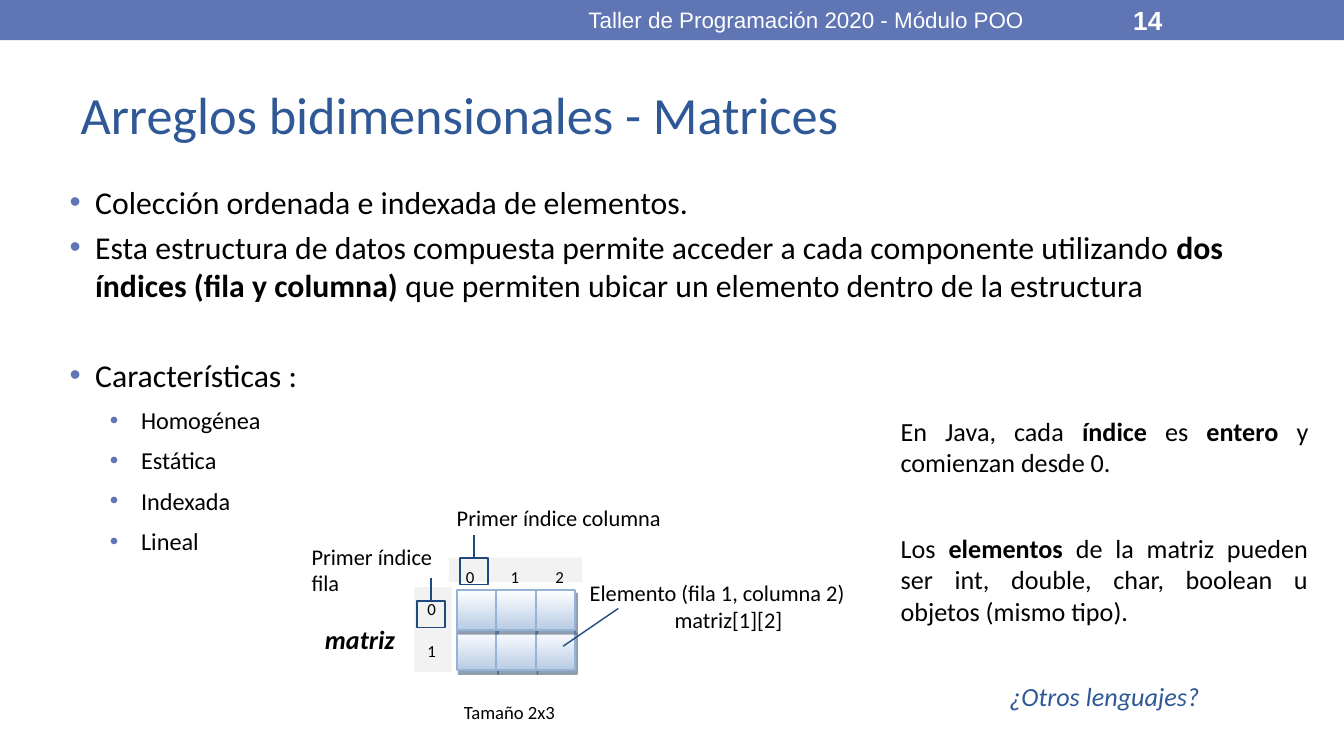
from lxml.etree import SubElement
from pptx import Presentation
from pptx.dml.color import RGBColor
from pptx.enum.shapes import MSO_CONNECTOR, MSO_SHAPE
from pptx.enum.text import MSO_ANCHOR, PP_ALIGN
from pptx.oxml.ns import qn
from pptx.util import Pt

BLACK, WHITE = "000000", "FFFFFF"
ACCENT, TITLE_BLUE, NAVY = "6076B4", "2F5897", "1F497D"
STRIP_GREY, CELL_BLUE, CELL_LINE, SHADOW = "F2F2F2", "B8CCE4", "95B3D7", "243F60"
TOP, BOTTOM_ROW = 0, 1


def color(hex_value):
    return RGBColor.from_string(hex_value)


def write(shape, text, size=12, fill=BLACK, font="Calibri", bold=False, italic=False,
          align=PP_ALIGN.LEFT, before=0, margin=0, indent=0, bullet=None):
    """Add one paragraph; parts between ** marks are bold."""
    frame = shape.text_frame
    para = frame.paragraphs[0]
    if para.runs:
        para = frame.add_paragraph()
    para.alignment = align
    para.space_before = Pt(before)
    properties = para._p.get_or_add_pPr()
    properties.set("marL", str(Pt(margin)))
    properties.set("indent", str(Pt(indent)))
    if bullet:
        bullet_color = SubElement(properties, qn("a:buClr"))
        SubElement(bullet_color, qn("a:srgbClr"), val=bullet)
        SubElement(properties, qn("a:buFont"), typeface="Arial")
        SubElement(properties, qn("a:buChar"), char="•")
    for number, part in enumerate(text.split("**")):
        if part:
            span = para.add_run()
            span.text = part
            span.font.name = font
            span.font.size = Pt(size)
            span.font.bold = bold or number % 2 == 1
            span.font.italic = italic
            span.font.color.rgb = color(fill)


def add_box(page, left, top, width, height, anchor=MSO_ANCHOR.TOP):
    box = page.shapes.add_textbox(Pt(left), Pt(top), Pt(width), Pt(height))
    box.text_frame.word_wrap = True
    box.text_frame.vertical_anchor = anchor
    return box


def add_rectangle(page, left, top, width, height, fill=None, line=None, weight=0.75):
    shape = page.shapes.add_shape(MSO_SHAPE.RECTANGLE, Pt(left), Pt(top), Pt(width), Pt(height))
    shape.shadow.inherit = False
    if fill:
        shape.fill.solid()
        shape.fill.fore_color.rgb = color(fill)
    else:
        shape.fill.background()
    if line:
        shape.line.color.rgb = color(line)
        shape.line.width = Pt(weight)
    else:
        shape.line.fill.background()
    return shape


def add_line(page, start_x, start_y, end_x, end_y):
    line = page.shapes.add_connector(
        MSO_CONNECTOR.STRAIGHT, Pt(start_x), Pt(start_y), Pt(end_x), Pt(end_y))
    line.line.color.rgb = color(NAVY)
    line.line.width = Pt(0.75)
    SubElement(line._element.spPr, qn("a:effectLst"))
    return line


def add_header(page, left, top, width, height):
    add_rectangle(page, left, top, width, height, fill=ACCENT)
    number = add_box(page, left + 600, top + 1, 84, 19.4, MSO_ANCHOR.MIDDLE)
    write(number, "14", size=14, fill=WHITE, font="Arial", bold=True)
    course = add_box(page, left + 270, top + 1, 324, 19.4, MSO_ANCHOR.MIDDLE)
    write(course, "Taller de Programación 2020 - Módulo POO", fill=WHITE, font="Arial",
          align=PP_ALIGN.CENTER)


def add_title(page, left, top, width, height):
    title = page.shapes.title
    title.left, title.top, title.width, title.height = Pt(left), Pt(top), Pt(width), Pt(height)
    title.text_frame.vertical_anchor = MSO_ANCHOR.MIDDLE
    write(title, "Arreglos bidimensionales - Matrices", size=28, fill=TITLE_BLUE)


def add_description(page, left, top, width, height):
    box = add_box(page, left, top, width, height)
    points = [
        ("Colección ordenada e indexada de elementos.", 0),
        ("Esta estructura de datos compuesta permite acceder a cada componente utilizando "
         "**dos índices (fila y columna) **que permiten ubicar un elemento dentro de la "
         "estructura", 3.6),
        ("Características :", 28),
    ]
    for text, before in points:
        write(box, text, size=17, before=before, margin=14.4, indent=-13.7, bullet=ACCENT)
    for feature in ("Homogénea", "Estática", "Indexada", "Lineal"):
        write(box, feature, size=13, before=6, margin=39, indent=-16.7, bullet=ACCENT)


def add_java_notes(page, left, top, width, height):
    box = add_box(page, left, top, width, height)
    write(box, "En Java, cada **índice** es **entero **y comienzan desde 0.", size=14,
          align=PP_ALIGN.JUSTIFY)
    write(box, "Los **elementos** de la matriz pueden ser int, double, char, boolean u "
          "objetos (mismo tipo).", size=14, align=PP_ALIGN.JUSTIFY, before=29)
    write(box, "¿Otros lenguajes?", size=14, fill=TITLE_BLUE, italic=True,
          align=PP_ALIGN.CENTER, before=29)


def add_cell(page, left, top, width, height):
    cell = add_rectangle(page, left, top, width, height, fill=WHITE, line=CELL_LINE, weight=1)
    cell.fill.gradient()
    cell.fill.gradient_angle = 270
    for stop, position, shade in zip(cell.fill.gradient_stops, (0, 1), (WHITE, CELL_BLUE)):
        stop.position = position
        stop.color.rgb = color(shade)
    effects = cell._element.spPr.find(qn("a:effectLst"))
    shadow = SubElement(effects, qn("a:outerShdw"), blurRad="0", dist=str(Pt(2.2)),
                        dir=str(63 * 60000), algn="ctr", rotWithShape="0")
    shade = SubElement(shadow, qn("a:srgbClr"), val=SHADOW)
    SubElement(shade, qn("a:alpha"), val="50000")


def add_index_marker(page, left, top):
    """Frame the first index and lead a line up to its caption."""
    width = 15
    marker = add_rectangle(page, left, top, width, 14.4, line=NAVY)
    line = add_line(page, left + width / 2, top, left + width / 2, top - 12.4)
    line.begin_connect(marker, TOP)


def add_column_indices(page, left, top, width, height):
    add_rectangle(page, left, top, width, height, fill=STRIP_GREY)
    pitch = 24
    for column in range(3):
        label = add_box(page, left - 0.7 + column * pitch, top + 1.3, pitch, height)
        write(label, str(column), size=9, align=PP_ALIGN.CENTER)


def add_row_indices(page, left, top, width, height):
    strip = add_rectangle(page, left, top, width, height, fill=STRIP_GREY)
    strip.text_frame.margin_right = 0
    write(strip, "0", size=9)
    write(strip, "1", size=9, before=11.6)


def add_matrix(page, left, top):
    """Draw the 2x3 grid with its top left cell at the given point, and its labels."""
    cell_width, cell_height = 21.1, 21.6
    add_column_indices(page, left - 4.3, top - 17.3, 71.3, 13)
    add_row_indices(page, left - 23, top - 1.4, 20.2, 45.4)

    for row in (BOTTOM_ROW, 0):
        for column in range(3):
            add_cell(page, left + column * cell_width, top + row * cell_height,
                     cell_width, cell_height)

    add_index_marker(page, left + 1.6, top - 17.1)
    add_index_marker(page, left - 21.4, top + 6)
    add_line(page, left + 56.9, top + 30.2, left + 86.4, top + 10)

    write(add_box(page, left - 7.2, top - 49.7, 156, 18), "Primer índice columna")
    row_caption = add_box(page, left - 85, top - 28.8, 121.7, 36)
    write(row_caption, "Primer índice")
    write(row_caption, "fila")
    element = add_box(page, left + 64, top - 9.4, 158.4, 37.4)
    write(element, "Elemento (fila 1, columna 2)")
    write(element, "matriz[1][2]", margin=45.5)
    write(add_box(page, left - 77.8, top + 14.4, 63.4, 27.4), "matriz",
          size=14, bold=True, italic=True)
    write(add_box(page, left - 3.4, top + 56, 75, 23), "Tamaño 2x3", size=10)


def main():
    deck = Presentation()
    deck.slide_width, deck.slide_height = Pt(720), Pt(405)
    page = deck.slides.add_slide(deck.slide_layouts[5])
    add_header(page, 0, 0, 720, 21.6)
    add_title(page, 36, 31.7, 648, 58.3)
    add_description(page, 29.5, 94.3, 664.6, 288)
    add_java_notes(page, 475.4, 219, 232.6, 170)
    add_matrix(page, 244.8, 316)
    deck.save("out.pptx")


if __name__ == "__main__":
    main()
